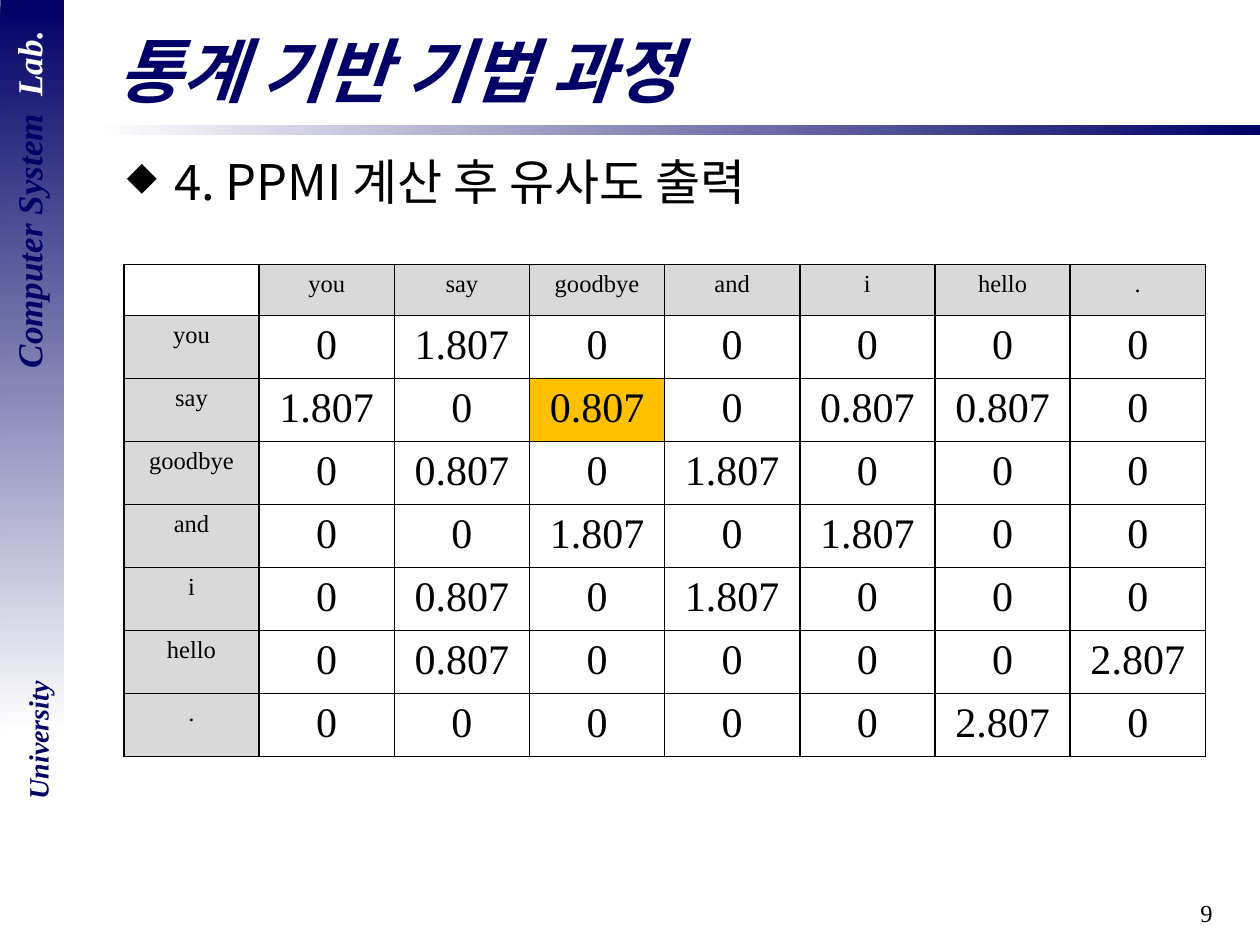
from lxml import etree
from pptx import Presentation
from pptx import util as u
from pptx.dml.color import RGBColor
from pptx.enum import shapes, text
from pptx.oxml import ns

Pt = u.Pt
ALIGN = text.PP_ALIGN
SERIF = "Times New Roman"
KOREAN = "Noto Sans CJK KR"
COLORS = {
    "navy": "000066",
    "white": "FFFFFF",
    "black": "000000",
    "header": "D9D9D9",
    "highlight": "FFC000",
}


def rgb(name):
    return RGBColor.from_string(COLORS[name])


def add_xml(parent, tag, **attributes):
    return etree.SubElement(parent, ns.qn(tag), attributes)


class LabSlide:
    def __init__(self, slide):
        self.slide = slide

    def style(self, paragraph, size, font=SERIF, color="black", bold=False, italic=False, align=ALIGN.LEFT):
        paragraph.alignment = align
        face = paragraph.font
        face.size, face.name = Pt(size), font
        face.bold, face.italic = bold, italic
        face.color.rgb = rgb(color)
        add_xml(face._element, "a:ea", typeface=font)

    def gradient_bar(self, left, top, width, height, start, end, rotation=0):
        bar = self.slide.shapes.add_shape(
            shapes.MSO_SHAPE.RECTANGLE, Pt(left), Pt(top), Pt(width), Pt(height))
        bar.shadow.inherit = False
        bar.rotation = rotation
        bar.line.fill.background()
        bar.fill.gradient()
        bar.fill.gradient_angle = 0
        for stop, color in zip(bar.fill.gradient_stops, (start, end)):
            stop.color.rgb = rgb(color)

    def label(self, left, top, width, height, words, size, rotation=0,
              anchor=text.MSO_ANCHOR.TOP, **style):
        box = self.slide.shapes.add_textbox(Pt(left), Pt(top), Pt(width), Pt(height))
        box.rotation = rotation
        frame = box.text_frame
        frame.word_wrap = True
        frame.vertical_anchor = anchor
        paragraph = frame.paragraphs[0]
        paragraph.text = words
        self.style(paragraph, size, **style)
        return paragraph

    def bullet(self, paragraph, indent, mark, percent):
        properties = paragraph._p.get_or_add_pPr()
        properties.set("marL", str(Pt(indent)))
        properties.set("indent", str(-Pt(indent)))
        marker = [
            etree.Element(ns.qn("a:buSzPct"), val=str(percent * 1000)),
            etree.Element(ns.qn("a:buChar"), char=mark),
        ]
        for position, element in enumerate(marker):
            properties.insert(position, element)

    def cell(self, cell, words, size, fill=None):
        paragraph = cell.text_frame.paragraphs[0]
        paragraph.text = words
        self.style(paragraph, size, align=ALIGN.CENTER)
        properties = cell._tc.get_or_add_tcPr()
        for side in ("a:lnL", "a:lnR", "a:lnT", "a:lnB"):
            border = add_xml(properties, side, w=str(Pt(1)))
            add_xml(add_xml(border, "a:solidFill"), "a:srgbClr", val=COLORS["black"])
        if fill:
            cell.fill.solid()
            cell.fill.fore_color.rgb = rgb(fill)
        else:
            cell.fill.background()

    def similarity_table(self, left, top, column_width, row_height, words, scores, highlighted):
        count = len(words) + 1
        table = self.slide.shapes.add_table(
            count, count, Pt(left), Pt(top),
            Pt(column_width * count), Pt(row_height * count)).table
        table.first_row = table.horz_banding = False
        for column in table.columns:
            column.width = Pt(column_width)
        for row in table.rows:
            row.height = Pt(row_height)
        self.cell(table.cell(0, 0), "", 14)
        for i, word in enumerate(words, 1):
            self.cell(table.cell(0, i), word, 14, "header")
            self.cell(table.cell(i, 0), word, 14, "header")
            for j, other in enumerate(words, 1):
                score = scores.get((word, other)) or scores.get((other, word), "0")
                fill = "highlight" if (word, other) == highlighted else None
                self.cell(table.cell(i, j), score, 24, fill)


deck = Presentation()
deck.slide_width, deck.slide_height = Pt(720), Pt(540)
page = LabSlide(deck.slides.add_slide(deck.slide_layouts[6]))

page.gradient_bar(54, 71.3, 666, 5.8, "white", "navy")
page.label(550, 509.8, 150, 30, "9", 14, align=ALIGN.RIGHT)
page.gradient_bar(-191.5, 191.5, 420, 36.7, "navy", "white", rotation=90)

side_style = dict(rotation=270, color="navy", bold=True, italic=True, align=ALIGN.CENTER)
lab_name = page.label(-94.3, 98.6, 221, 31, "Computer System  ", 20, **side_style)
lab = lab_name.add_run()
lab.text = "Lab."
lab.font.color.rgb = rgb("white")
page.label(-29.5, 409.7, 102.2, 26.6, "University", 16, **side_style)

page.label(59.8, 12.2, 640.8, 55.4, "통계 기반 기법 과정", 40, font=KOREAN, color="navy",
           bold=True, italic=True, anchor=text.MSO_ANCHOR.MIDDLE)
topic = page.label(65.5, 82.8, 629.3, 415.4, "4. PPMI 계산 후 유사도 출력", 28, font=KOREAN)
page.bullet(topic, 27, "◆", 80)

ppmi = {
    ("you", "say"): "1.807",
    ("say", "goodbye"): "0.807",
    ("say", "i"): "0.807",
    ("say", "hello"): "0.807",
    ("goodbye", "and"): "1.807",
    ("and", "i"): "1.807",
    ("hello", "."): "2.807",
}
vocabulary = ["you", "say", "goodbye", "and", "i", "hello", "."]
page.similarity_table(70.8, 151, 77.25, 29.2, vocabulary, ppmi, ("say", "goodbye"))

deck.save("out.pptx")
